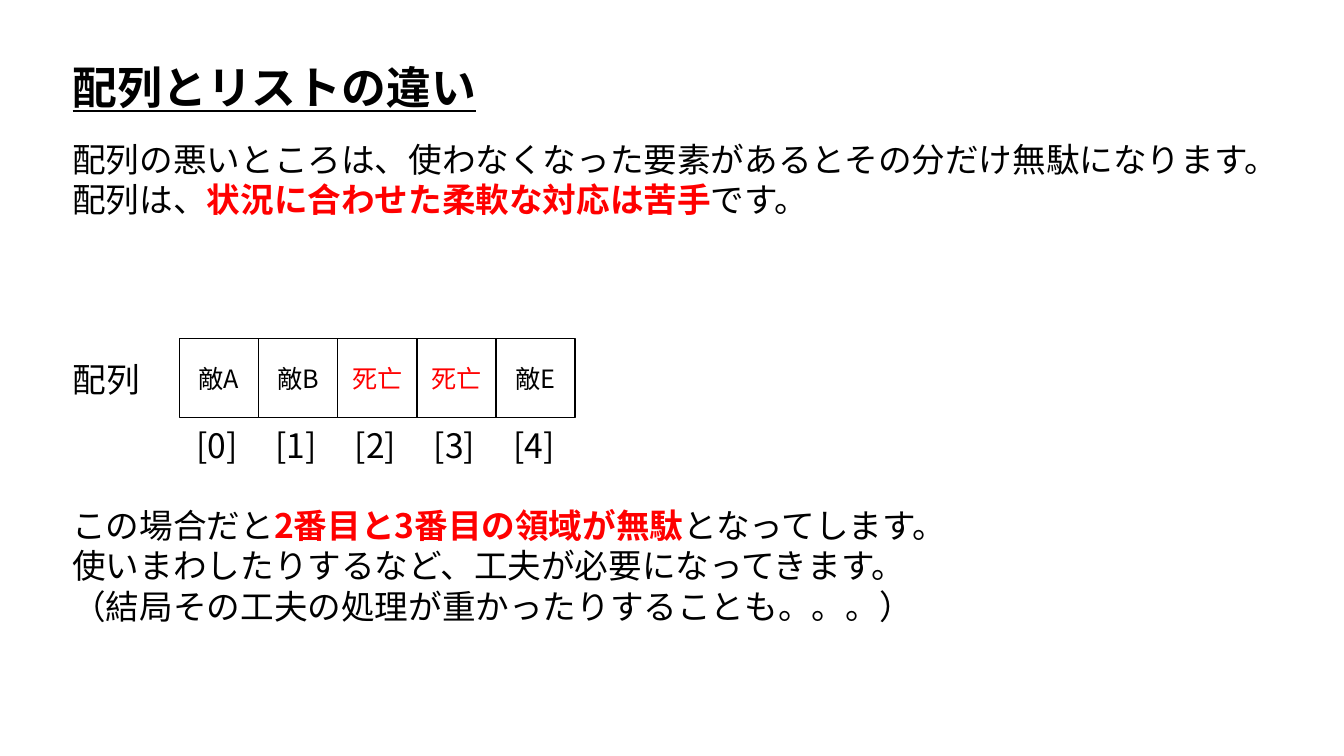
import pptx
import pptx.util
import pptx.dml.color
import pptx.enum.text
import pptx.enum.shapes
import pptx.oxml.ns
import lxml.etree

Inches = pptx.util.Inches
Pt = pptx.util.Pt
RGBColor = pptx.dml.color.RGBColor
ALIGN = pptx.enum.text.PP_ALIGN
ANCHOR = pptx.enum.text.MSO_ANCHOR
FIT = pptx.enum.text.MSO_AUTO_SIZE

BLACK = RGBColor(0, 0, 0)
RED = RGBColor(255, 0, 0)
WHITE = RGBColor(255, 255, 255)
FACE = "Noto Sans CJK JP"

LEFT = 0.62    # shared left edge
CELL = 0.785   # pitch of the array cells
LINE = 0.5     # height of a one-line box

ENEMIES = ["敵A", "敵B", "死亡", "死亡", "敵E"]
INTRO = [
    [("配列の悪いところは、使わなくなった要素があるとその分だけ無駄になります。", False)],
    [("配列は、", False), ("状況に合わせた柔軟な対応は苦手", True), ("です。", False)],
]
NOTE = [
    [("この場合だと", False), ("2番目と3番目の領域が無駄", True),
     ("となってします。", False)],
    [("使いまわしたりするなど、工夫が必要になってきます。", False)],
    [("（結局その工夫の処理が重かったりすることも。。。）", False)],
]


def style(run, size, color=BLACK, bold=False):
    font = run.font
    font.size = Pt(size)
    font.bold = bold
    font.color.rgb = color
    font.name = FACE
    # East Asian glyphs need their own typeface entry
    east = lxml.etree.SubElement(font._element, pptx.oxml.ns.qn("a:ea"))
    east.set("typeface", FACE)


def place(shape, box):
    shape.left, shape.top, shape.width, shape.height = map(Inches, box)


def free(frame):
    frame.word_wrap = False
    frame.auto_size = FIT.SHAPE_TO_FIT_TEXT


def title(slide, box):
    head = slide.shapes.title
    place(head, box)
    frame = head.text_frame
    frame.text = "配列とリストの違い"
    free(frame)
    frame.vertical_anchor = ANCHOR.TOP
    para = frame.paragraphs[0]
    para.alignment = ALIGN.LEFT
    style(para.runs[0], 32, bold=True)
    para.runs[0].font.underline = True


def prose(slide, box, lines):
    """Lines of (text, stressed) parts; stressed parts are bold red."""
    frame = slide.shapes.add_textbox(*map(Inches, box)).text_frame
    free(frame)
    for row, parts in enumerate(lines):
        para = frame.add_paragraph() if row else frame.paragraphs[0]
        for text, stress in parts:
            run = para.add_run()
            run.text = text
            style(run, 24, RED if stress else BLACK, stress)


def cell(slide, box, text):
    rect = slide.shapes.add_shape(
        pptx.enum.shapes.MSO_SHAPE.RECTANGLE, *map(Inches, box))
    rect.shadow.inherit = False
    rect.fill.solid()
    rect.fill.fore_color.rgb = WHITE
    rect.line.color.rgb = BLACK
    rect.line.width = Pt(1)
    frame = rect.text_frame
    frame.text = text
    frame.vertical_anchor = ANCHOR.MIDDLE
    para = frame.paragraphs[0]
    para.alignment = ALIGN.CENTER
    style(para.runs[0], 18, RED if text == "死亡" else BLACK)


def array(slide, left, top):
    # Row label, then each cell with its index below
    prose(slide, (LEFT, top + 0.15, 0.88, LINE), [[("配列", False)]])
    for num, text in enumerate(ENEMIES):
        x = left + num * CELL
        cell(slide, (x, top, CELL, CELL), text)
        prose(slide, (x + 0.07, top + 0.81, 0.65, LINE), [[(f"[{num}]", False)]])


def main():
    deck = pptx.Presentation()
    deck.slide_width = Inches(13.33)
    deck.slide_height = Inches(7.5)
    slide = deck.slides.add_slide(deck.slide_layouts[5])
    title(slide, (LEFT, 0.54, 4.24, 0.64))
    prose(slide, (LEFT, 1.33, 12.66, 0.91), INTRO)
    array(slide, 1.78, 3.36)
    prose(slide, (LEFT, 4.96, 9, 1.31), NOTE)
    deck.save("out.pptx")


if __name__ == "__main__":
    main()
